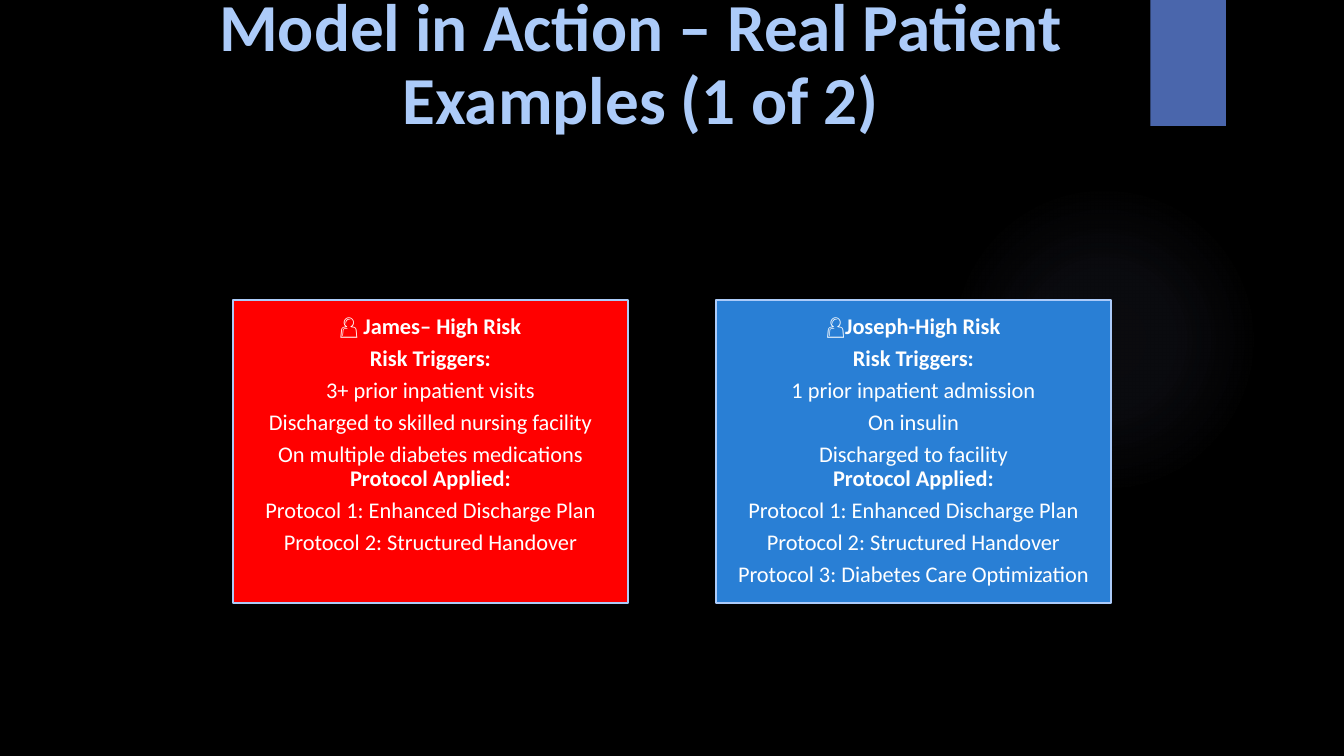
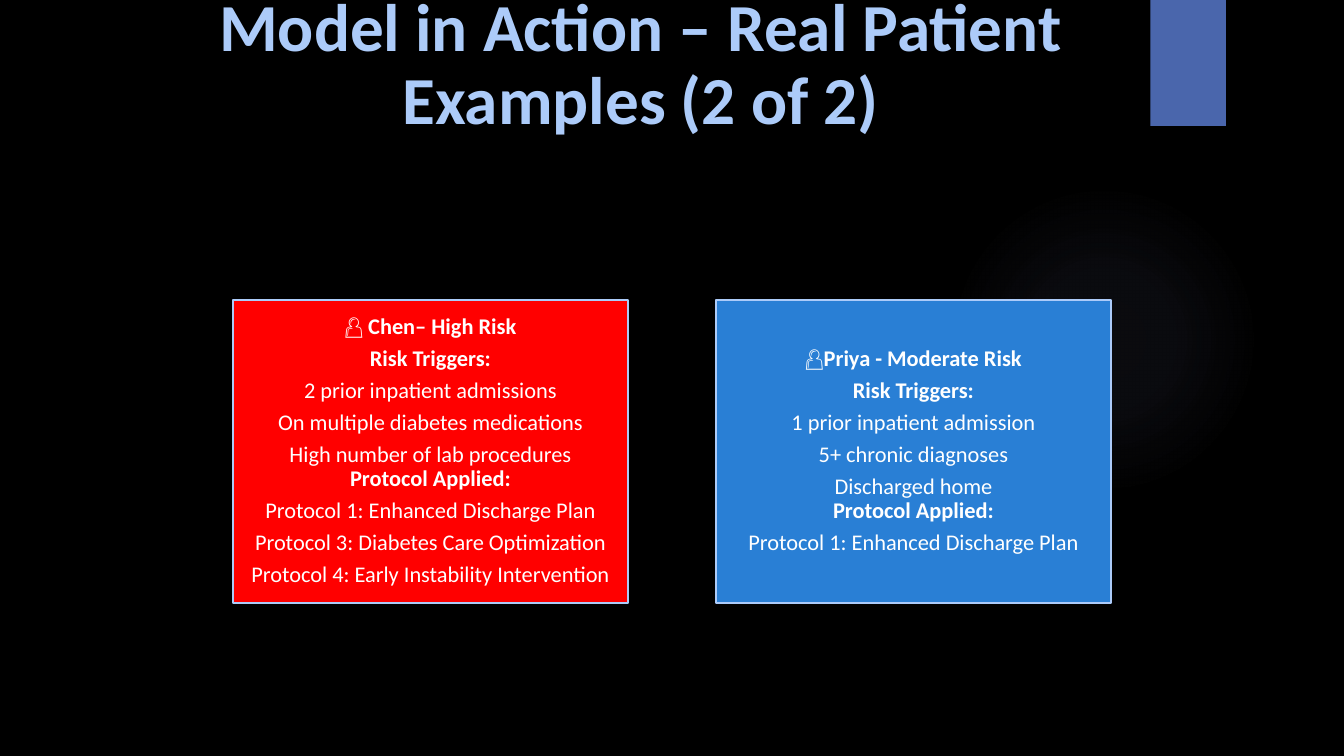
import pptx
import pptx.dml.color
import pptx.enum.shapes
import pptx.enum.text
import pptx.oxml
import pptx.oxml.ns
import pptx.util

Inches, Pt = pptx.util.Inches, pptx.util.Pt
SHAPE = pptx.enum.shapes.MSO_SHAPE

PAGE_W, PAGE_H = 13.33, 7.5
FONT = "Calibri"
COLOURS = {
    "background": "000000",
    "glow": "9297CF",
    "band": "4A66AC",
    "accent": "ACCBF9",
    "text": "FFFFFF",
}
CARD_FILLS = ("FF0000", "297FD5")
CARD_W, CARD_H, CARD_TOP, CARD_GAP = 3.91, 3, 2.98, 0.88
CARD_INSET = 0.07
TITLE_BOX = (1.71, 0.14, 9.29, 1.04)
BAND_BOX = (11.41, 0, 0.75, 1.25)
GLOW_BOX = (9.41, 1.83, 3.08, 3.08)
GLOW_STOPS = ((0, 7), (36, 6), (69, 0))  # position and opacity, percent

TITLE = "Model in Action – Real Patient Examples ({} of {})"
PLANS = {
    1: "Protocol 1: Enhanced Discharge Plan",
    2: "Protocol 2: Structured Handover",
    3: "Protocol 3: Diabetes Care Optimization",
    4: "Protocol 4: Early Instability Intervention",
}
# Each slide holds two patients; "room" is extra space at the foot of a card.
SLIDES = [
    [
        {
            "name": "👤 James– High Risk",
            "triggers": ["3+ prior inpatient visits",
                         "Discharged to skilled nursing facility",
                         "On multiple diabetes medications"],
            "plans": [1, 2],
            "room": 0.32,
        },
        {
            "name": "👤Joseph-High Risk",
            "triggers": ["1 prior inpatient admission", "On insulin",
                         "Discharged to facility"],
            "plans": [1, 2, 3],
        },
    ],
    [
        {
            "name": "👤 Chen– High Risk",
            "triggers": ["2 prior inpatient admissions",
                         "On multiple diabetes medications",
                         "High number of lab procedures"],
            "plans": [1, 3, 4],
        },
        {
            "name": "👤Priya - Moderate Risk",
            "triggers": ["1 prior inpatient admission",
                         "5+ chronic diagnoses", "Discharged home"],
            "plans": [1],
        },
    ],
]


def rgb(hex_string):
    return pptx.dml.color.RGBColor.from_string(hex_string)


def add_shape(page, kind, box, fill=None, line=None):
    shape = page.shapes.add_shape(kind, *map(Inches, box))
    shape.shadow.inherit = False
    if fill:
        shape.fill.solid()
        shape.fill.fore_color.rgb = rgb(fill)
    if line:
        shape.line.color.rgb = rgb(line)
        shape.line.width = Pt(1.5)
    else:
        shape.line.fill.background()
    return shape


def write(frame, paragraphs, size, colour, space_after=0):
    """Fill a frame; a paragraph is a list of (text, bold) lines."""
    frame.word_wrap = True
    frame.vertical_anchor = pptx.enum.text.MSO_ANCHOR.MIDDLE
    for index, lines in enumerate(paragraphs):
        para = frame.add_paragraph() if index else frame.paragraphs[0]
        para.alignment = pptx.enum.text.PP_ALIGN.CENTER
        para.line_spacing = 0.9
        para.space_after = Pt(space_after)
        for number, (text, bold) in enumerate(lines):
            if number:
                para.add_line_break()
            span = para.add_run()
            span.text = text
            span.font.name = FONT
            span.font.size = Pt(size)
            span.font.bold = bold
            span.font.color.rgb = rgb(colour)


def add_glow(page):
    """Add a soft circle that fades out from its centre."""
    glow = add_shape(page, SHAPE.OVAL, GLOW_BOX, COLOURS["glow"])
    stops = "".join(
        f'<a:gs pos="{place * 1000}"><a:srgbClr val="{COLOURS["glow"]}">'
        f'<a:alpha val="{opacity * 1000}"/></a:srgbClr></a:gs>'
        for place, opacity in GLOW_STOPS)
    gradient = pptx.oxml.parse_xml(
        f'<a:gradFill {pptx.oxml.ns.nsdecls("a")}><a:gsLst>{stops}</a:gsLst>'
        '<a:path path="circle"><a:fillToRect l="50000" t="50000" r="50000" '
        'b="50000"/></a:path></a:gradFill>')
    properties = glow.element.spPr
    solid = properties.find(pptx.oxml.ns.qn("a:solidFill"))
    properties.replace(solid, gradient)


def add_card(page, column, patient):
    left = (PAGE_W - 2 * CARD_W - CARD_GAP) / 2 + column * (CARD_W + CARD_GAP)
    card = add_shape(page, SHAPE.RECTANGLE, (left, CARD_TOP, CARD_W, CARD_H),
                     CARD_FILLS[column], COLOURS["accent"])
    frame = card.text_frame
    frame.margin_left = frame.margin_right = frame.margin_top = Inches(CARD_INSET)
    frame.margin_bottom = Inches(CARD_INSET + patient.get("room", 0))
    *first_triggers, last_trigger = patient["triggers"]
    paragraphs = [
        [(patient["name"], True)],
        [("Risk Triggers:", True)],
        *[[(trigger, False)] for trigger in first_triggers],
        [(last_trigger, False), ("Protocol Applied:", True)],
        *[[(PLANS[plan], False)] for plan in patient["plans"]],
    ]
    write(frame, paragraphs, 16, COLOURS["text"], space_after=5.6)


def main():
    deck = pptx.Presentation()
    deck.slide_width, deck.slide_height = Inches(PAGE_W), Inches(PAGE_H)
    backdrop = deck.slide_master.background.fill
    backdrop.solid()
    backdrop.fore_color.rgb = rgb(COLOURS["background"])
    for number, patients in enumerate(SLIDES, 1):
        page = deck.slides.add_slide(deck.slide_layouts[6])
        add_glow(page)
        add_shape(page, SHAPE.RECTANGLE, BAND_BOX, COLOURS["band"])
        for column, patient in enumerate(patients):
            add_card(page, column, patient)
        title = page.shapes.add_textbox(*map(Inches, TITLE_BOX))
        write(title.text_frame, [[(TITLE.format(number, len(SLIDES)), True)]],
              48, COLOURS["accent"])
    deck.save("out.pptx")


if __name__ == "__main__":
    main()
